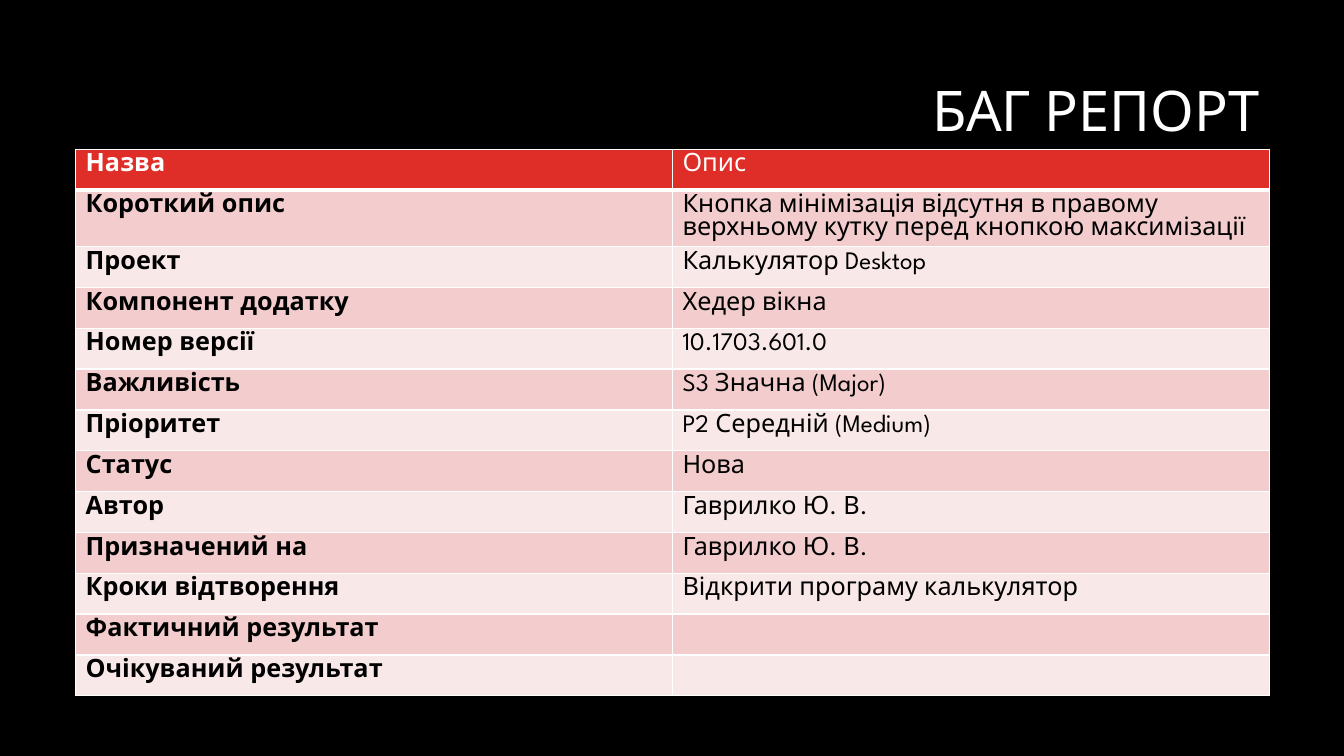
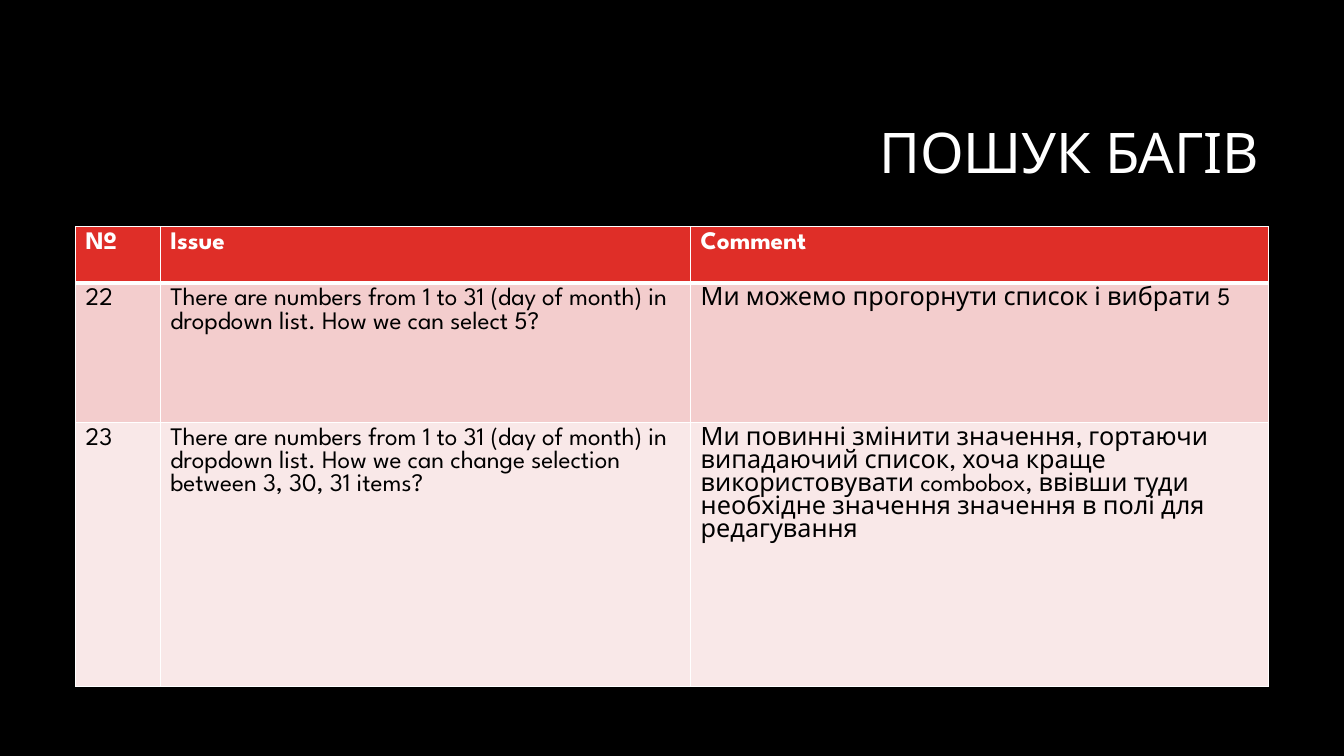
from dataclasses import dataclass

from lxml import etree
from pptx import Presentation
from pptx.dml import color
from pptx.enum import text
from pptx.oxml import ns
from pptx.util import Inches, Pt


# Colours and type shared by every slide
@dataclass(frozen=True)
class Theme:
    face: str = "League Spartan"
    back: str = "000000"
    light: str = "FFFFFF"
    dark: str = "000000"
    head: str = "DF2E28"
    bands: tuple = ("F3CDCD", "F9E8E8")
    big: int = 40
    base: int = 18
    thin: int = 1
    thick: int = 3


def paint(fill, tone):
    fill.solid()
    fill.fore_color.rgb = color.RGBColor.from_string(tone)


def write(frame, words, *, face, size, tone, bold=False, align=None, lead=None):
    para = frame.paragraphs[0]
    para.alignment = align
    para.line_spacing = lead
    run = para.add_run()
    run.text = words
    font = run.font
    font.name, font.size, font.bold = face, Pt(size), bold
    font.color.rgb = color.RGBColor.from_string(tone)


def border(cell, tone, **widths):
    props = cell._tc.get_or_add_tcPr()
    for side in "LRTB":
        line = etree.SubElement(props, ns.qn(f"a:ln{side}"), w=str(Pt(widths[side])))
        fill = etree.SubElement(line, ns.qn("a:solidFill"))
        etree.SubElement(fill, ns.qn("a:srgbClr"), val=tone)


class Deck:
    def __init__(self, theme):
        self.theme = theme
        self.show = Presentation()
        self.show.slide_width = Inches(13.33)
        self.show.slide_height = Inches(7.5)
        paint(self.show.slide_master.background.fill, theme.back)
        self.slide = None

    def start(self):
        self.slide = self.show.slides.add_slide(self.show.slide_layouts[5])

    def title(self, words, top):
        box = self.slide.shapes.title
        box.left, box.top = Inches(3.17), Inches(top)
        box.width, box.height = Inches(9.42), Inches(1.41)
        frame = box.text_frame
        frame.word_wrap = True
        frame.auto_size = text.MSO_AUTO_SIZE.NONE
        frame.vertical_anchor = text.MSO_ANCHOR.MIDDLE
        write(frame, words, face=self.theme.face, size=self.theme.big,
              tone=self.theme.light, align=text.PP_ALIGN.RIGHT, lead=0.9)

    def table(self, rows, top, widths, heights, strong):
        """Draw a banded grid; strong(row, col) tells which cells are bold."""
        grid = self.slide.shapes.add_table(
            len(rows), len(widths), Inches(0.75), Inches(top),
            Inches(sum(widths)), Inches(sum(heights))).table
        for col, width in zip(grid.columns, widths):
            col.width = Inches(width)
        for row, height in zip(grid.rows, heights):
            row.height = Inches(height)
        for r, row in enumerate(rows):
            for c, words in enumerate(row):
                self.cell(grid.cell(r, c), words, r, strong(r, c))

    def cell(self, cell, words, row, bold):
        look = self.theme
        # The heavy rule runs between the header and the first band
        border(cell, look.light, L=look.thin, R=look.thin,
               T=look.thick if row == 1 else look.thin,
               B=look.thick if row == 0 else look.thin)
        paint(cell.fill, look.bands[(row - 1) % 2] if row else look.head)
        if words:
            write(cell.text_frame, words, face=look.face, size=look.base,
                  tone=look.dark if row else look.light, bold=bold)


REPORT = [
    ("Назва", "Опис"),
    ("Короткий опис", "Кнопка мінімізація відсутня в правому верхньому кутку "
                      "перед кнопкою максимізації"),
    ("Проект", "Калькулятор Desktop"),
    ("Компонент додатку", "Хедер вікна"),
    ("Номер версії", "10.1703.601.0"),
    ("Важливість", "S3 Значна (Major)"),
    ("Пріоритет", "P2 Середній (Medium)"),
    ("Статус", "Нова"),
    ("Автор", "Гаврилко Ю. В."),
    ("Призначений на", "Гаврилко Ю. В."),
    ("Кроки відтворення", "Відкрити програму калькулятор"),
    ("Фактичний результат", ""),
    ("Очікуваний результат", ""),
]

ISSUES = [
    ("№", "Issue", "Comment"),
    ("22",
     "There are numbers from 1 to 31 (day of month) in dropdown list. "
     "How we can select 5?",
     "Ми можемо прогорнути список і вибрати 5"),
    ("23",
     "There are numbers from 1 to 31 (day of month) in dropdown list. "
     "How we can change selection between 3, 30, 31 items?",
     "Ми повинні змінити значення, гортаючи випадаючий список, хоча краще "
     "використовувати combobox, ввівши туди необхідне значення значення "
     "в полі для редагування"),
]


def main():
    deck = Deck(Theme())

    # Bug report: bold labels in the first column
    deck.start()
    deck.title("БАГ РЕПОРТ", 0.42)
    count = len(REPORT)
    deck.table(REPORT, 1.48, [5.92, 5.92], [5.27 / count] * count,
               lambda r, c: c == 0)

    # Bug search: bold header row
    deck.start()
    deck.title("ПОШУК БАГІВ", 0.84)
    deck.table(ISSUES, 2.25, [0.84, 5.26, 5.73], [0.56, 1.38, 2.62],
               lambda r, c: r == 0)

    deck.show.save("out.pptx")


if __name__ == "__main__":
    main()
